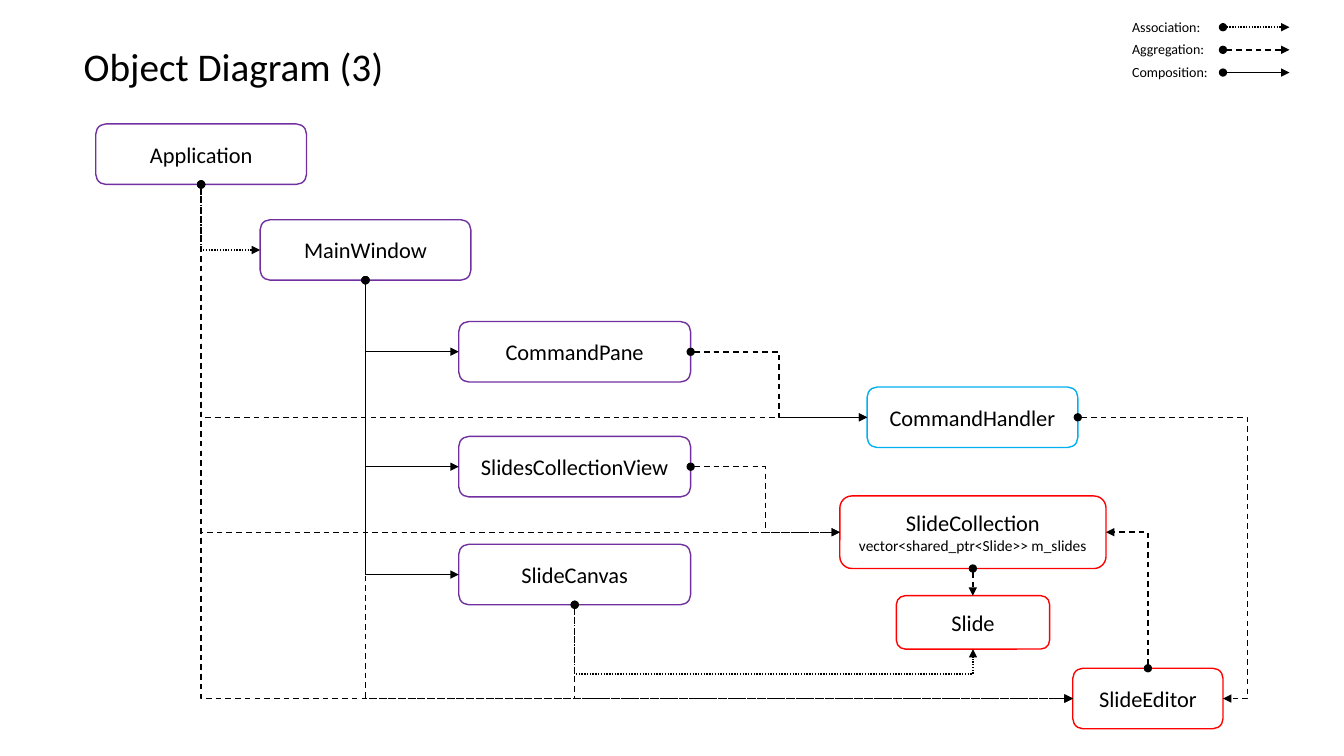
from lxml.etree import SubElement
from pptx import Presentation
from pptx.dml.color import RGBColor
from pptx.enum.dml import MSO_LINE
from pptx.enum.shapes import MSO_CONNECTOR, MSO_SHAPE
from pptx.enum.text import MSO_ANCHOR, MSO_AUTO_SIZE, PP_ALIGN
from pptx.oxml.ns import qn
from pptx.util import Inches, Pt

FONT = "Calibri"
COLORS = {"ink": "000000", "view": "7030A0", "command": "00B0F0", "model": "FF0000"}
DASHES = {"Association": MSO_LINE.ROUND_DOT, "Aggregation": MSO_LINE.DASH, "Composition": None}
TOP, LEFT, BOTTOM, RIGHT = range(4)  # connection sites of a rounded rectangle

# name: (colour, left, top, width, height, detail line)
BOXES = {
    "SlideCollection": ("model", 8.33, 4.92, 2.64, 0.72, "vector<shared_ptr<Slide>> m_slides"),
    "Application": ("view", 0.95, 1.23, 2.09, 0.6, None),
    "CommandHandler": ("command", 8.6, 3.84, 2.09, 0.6, None),
    "MainWindow": ("view", 2.58, 2.18, 2.09, 0.6, None),
    "CommandPane": ("view", 4.55, 3.19, 2.3, 0.6, None),
    "SlidesCollectionView": ("view", 4.55, 4.33, 2.3, 0.6, None),
    "SlideCanvas": ("view", 4.55, 5.4, 2.3, 0.6, None),
    "SlideEditor": ("model", 10.64, 6.63, 1.49, 0.6, None),
    "Slide": ("model", 8.89, 5.91, 1.52, 0.53, None),
}

# (kind, owner, site, target, site, position of the middle segment)
LINKS = [
    ("Aggregation", "Application", BOTTOM, "SlideCollection", LEFT, None),
    ("Composition", "MainWindow", BOTTOM, "CommandPane", LEFT, None),
    ("Composition", "MainWindow", BOTTOM, "SlidesCollectionView", LEFT, None),
    ("Composition", "MainWindow", BOTTOM, "SlideCanvas", LEFT, None),
    ("Aggregation", "Application", BOTTOM, "SlideEditor", LEFT, None),
    ("Aggregation", "CommandPane", RIGHT, "CommandHandler", LEFT, 0.5),
    ("Aggregation", "SlidesCollectionView", RIGHT, "SlideCollection", LEFT, 0.5),
    ("Aggregation", "CommandHandler", RIGHT, "SlideEditor", RIGHT, 1.17),
    ("Association", "Application", BOTTOM, "MainWindow", LEFT, None),
    ("Aggregation", "Application", BOTTOM, "CommandHandler", LEFT, None),
    ("Aggregation", "SlideEditor", TOP, "SlideCollection", RIGHT, None),
    ("Association", "SlideCanvas", BOTTOM, "Slide", BOTTOM, 1.56),
    ("Aggregation", "SlideCollection", BOTTOM, "Slide", TOP, 0.5),
    ("Aggregation", "SlideCanvas", BOTTOM, "SlideEditor", LEFT, None),
    ("Aggregation", "MainWindow", BOTTOM, "SlideEditor", LEFT, None),
]


def color(name):
    return RGBColor.from_string(COLORS[name])


def add_run(p, text, size):
    r = p.add_run()
    r.text = text
    r.font.name = FONT
    r.font.size = Pt(size)
    r.font.color.rgb = color("ink")


def add_title(slide, text):
    title = slide.shapes.title
    title.left, title.top = Inches(0.73), Inches(0.37)
    title.width, title.height = Inches(3.21), Inches(0.57)
    tf = title.text_frame
    tf.word_wrap = False
    tf.auto_size = MSO_AUTO_SIZE.SHAPE_TO_FIT_TEXT
    tf.vertical_anchor = MSO_ANCHOR.TOP
    p = tf.paragraphs[0]
    p.alignment = PP_ALIGN.LEFT
    p.line_spacing = 1.0
    add_run(p, text, 28)


def add_box(shapes, name, outline, left, top, width, height, detail):
    sp = shapes.add_shape(MSO_SHAPE.ROUNDED_RECTANGLE, Inches(left), Inches(top),
                          Inches(width), Inches(height))
    sp.shadow.inherit = False
    sp.fill.background()
    sp.line.color.rgb = color(outline)
    sp.line.width = Pt(1)
    tf = sp.text_frame
    tf.word_wrap = True
    tf.vertical_anchor = MSO_ANCHOR.MIDDLE
    p = tf.paragraphs[0]
    p.alignment = PP_ALIGN.CENTER
    add_run(p, name, 16)
    if detail:
        p = tf.add_paragraph()
        p.alignment = PP_ALIGN.CENTER
        add_run(p, detail, 11)
    return sp


def add_arrow(shapes, kind, x1=0, y1=0, x2=0, y2=0):
    """Elbow connector with a dot at its owner and an arrowhead at its target."""
    arrow = shapes.add_connector(MSO_CONNECTOR.ELBOW, Inches(x1), Inches(y1),
                                 Inches(x2), Inches(y2))
    arrow.line.color.rgb = color("ink")
    arrow.line.width = Pt(1)
    if DASHES[kind]:
        arrow.line.dash_style = DASHES[kind]
    sp_pr = arrow.element.spPr
    ln = sp_pr.find(qn("a:ln"))
    SubElement(ln, qn("a:headEnd"), type="oval")
    SubElement(ln, qn("a:tailEnd"), type="triangle")
    SubElement(sp_pr, qn("a:effectLst"))
    return arrow


def leave_vertically(arrow):
    """Turn the connector so that its first segment runs up or down."""
    dx, dy = arrow.end_x - arrow.begin_x, arrow.end_y - arrow.begin_y
    center_x = (arrow.begin_x + arrow.end_x) // 2
    center_y = (arrow.begin_y + arrow.end_y) // 2
    arrow.width, arrow.height = abs(dy), abs(dx)
    arrow.left = center_x - arrow.width // 2
    arrow.top = center_y - arrow.height // 2
    xfrm = arrow.element.spPr.find(qn("a:xfrm"))
    xfrm.set("rot", str(270 * 60000))
    xfrm.set("flipH", str(int(dy > 0)))
    xfrm.set("flipV", str(int(dx < 0)))


def add_link(shapes, boxes, kind, owner, owner_site, target, target_site, middle):
    arrow = add_arrow(shapes, kind)
    arrow.begin_connect(boxes[owner], owner_site)
    arrow.end_connect(boxes[target], target_site)
    if owner_site in (TOP, BOTTOM):
        leave_vertically(arrow)
    geom = arrow.element.spPr.find(qn("a:prstGeom"))
    if middle is None:
        geom.set("prst", "bentConnector2")
    else:
        SubElement(geom.find(qn("a:avLst")), qn("a:gd"), name="adj1",
                   fmla=f"val {round(middle * 100000)}")


def add_legend(slide):
    shapes = slide.shapes.add_group_shape().shapes
    for row, kind in enumerate(DASHES):
        top = 0.13 + 0.225 * row
        label = shapes.add_textbox(Inches(11.13), Inches(top), Inches(0.98), Inches(0.27))
        tf = label.text_frame
        tf.word_wrap = True
        tf.auto_size = MSO_AUTO_SIZE.SHAPE_TO_FIT_TEXT
        add_run(tf.paragraphs[0], f"{kind}:", 10)
        y = top + 0.14
        add_arrow(shapes, kind, 12.13, y, 12.79, y)


def main():
    prs = Presentation()
    prs.slide_width, prs.slide_height = Inches(13.33), Inches(7.5)
    slide = prs.slides.add_slide(prs.slide_layouts[5])
    add_title(slide, "Object Diagram (3)")
    add_legend(slide)
    boxes = {name: add_box(slide.shapes, name, *look) for name, look in BOXES.items()}
    for link in LINKS:
        add_link(slide.shapes, boxes, *link)
    prs.save("out.pptx")


if __name__ == "__main__":
    main()
